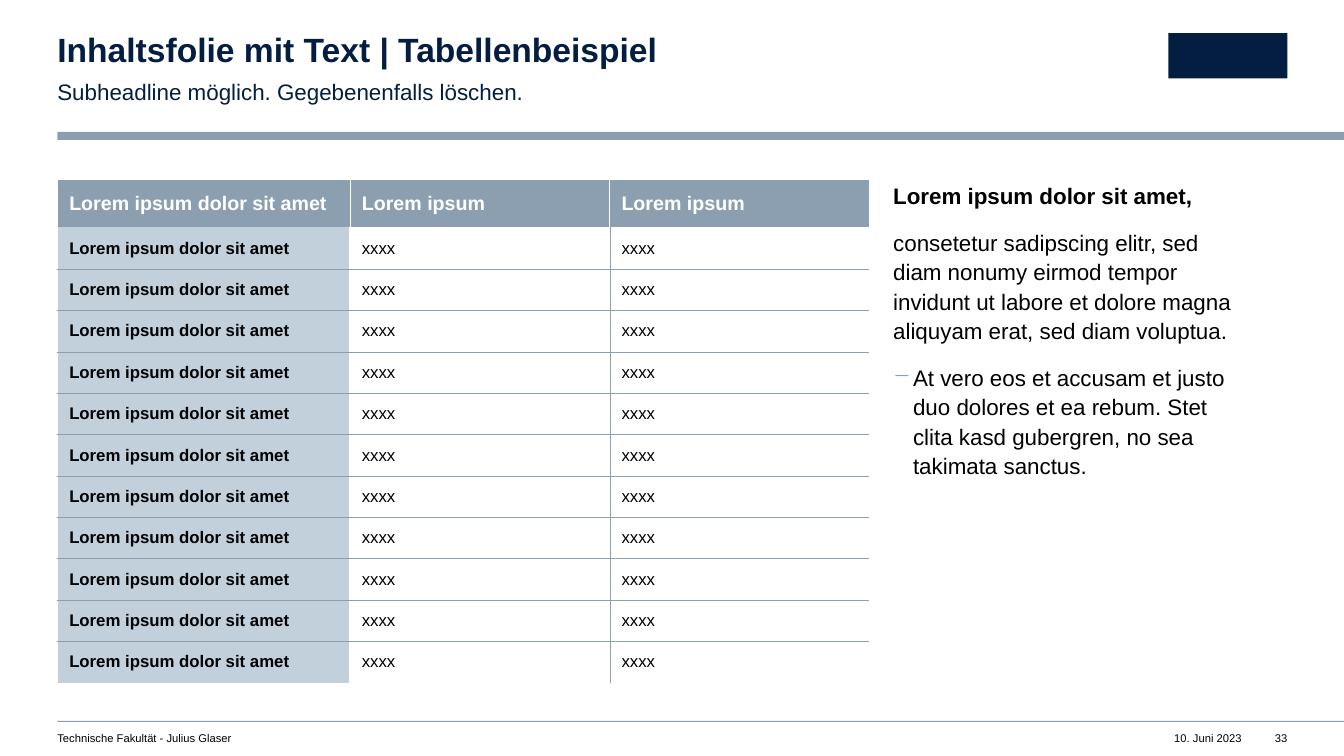
from lxml import etree
from pptx import Presentation
from pptx.dml.color import RGBColor
from pptx.enum import shapes, text
from pptx.oxml import ns
from pptx.util import Pt

HUES = {"navy": "041E42", "steel": "8C9FB1", "pale": "C2D0DC",
        "white": "FFFFFF", "black": "000000"}
FONT = "Arial"
LEFT, RIGHT, WIDE = 41, 919.5, 960
PLAIN = "{2D5ABB26-0587-4C30-8999-92F81FD0307C}"
ALIGN = text.PP_ALIGN


def hue(name):
    return RGBColor.from_string(HUES[name])


def add(parent, tag, **attrs):
    node = etree.SubElement(parent, ns.qn(tag))
    for key, value in attrs.items():
        node.set(key, str(value))
    return node


def style(para, size, color, bold=False):
    for run in para.runs:
        font = run.font
        font.name, font.size, font.bold = FONT, Pt(size), bold
        font.color.rgb = hue(color)


def place(shape, left, top, width, height):
    shape.left, shape.top = Pt(left), Pt(top)
    shape.width, shape.height = Pt(width), Pt(height)


def inset(frame, right=0):
    frame.margin_left = frame.margin_top = frame.margin_bottom = 0
    frame.margin_right = Pt(right)
    frame.word_wrap = True
    frame.auto_size = text.MSO_AUTO_SIZE.NONE
    frame.vertical_anchor = text.MSO_ANCHOR.TOP


def add_text(slide, box, words, size, color, right=0):
    frame = slide.shapes.add_textbox(*map(Pt, box)).text_frame
    inset(frame, right)
    frame.text = words
    for para in frame.paragraphs:
        style(para, size, color)
    return frame


def add_block(slide, box, color):
    shape = slide.shapes.add_shape(shapes.MSO_SHAPE.RECTANGLE, *map(Pt, box))
    shape.shadow.inherit = False
    shape.fill.solid()
    shape.fill.fore_color.rgb = hue(color)
    shape.line.fill.background()


def space(para):
    para.line_spacing, para.space_after = 1.1, Pt(12)


# Title, subheadline, plain mark and thick rule
def add_head(slide, left, top, width):
    title = slide.shapes.title
    place(title, left, top, width, 26)
    inset(title.text_frame)
    title.text_frame.text = "Inhaltsfolie mit Text | Tabellenbeispiel"
    para = title.text_frame.paragraphs[0]
    para.alignment, para.line_spacing = ALIGN.LEFT, 0.9
    style(para, 24, "navy", True)
    sub = add_text(slide, (left, top + 30, width, 19.5),
                   "Subheadline möglich. Gegebenenfalls löschen.",
                   16, "navy", 28)
    space(sub.paragraphs[0])
    add_block(slide, (RIGHT - 85, top, 85, 32.4), "navy")
    add_block(slide, (left, top + 70.6, WIDE - left, 5.6), "steel")


# Table: one rule for the edges, one for the fills
def set_edges(cell, row, col, count):
    grid = ("steel", 0.25)
    if row == 0:
        sides = [("white", 1), ("white", 0.5), ("white", 0.5), None]
    else:
        sides = [("white", 1), ("white", 1), grid, None]
    above = ("white", 1) if row == 0 else grid if row > 1 else None
    below = grid if 0 < row < count - 1 else None
    edges = {"a:lnL": sides[col], "a:lnR": sides[col + 1],
             "a:lnT": above, "a:lnB": below}
    props = cell._tc.get_or_add_tcPr()
    for tag, edge in edges.items():
        if edge:
            line = add(props, tag, w=Pt(edge[1]))
            add(add(line, "a:solidFill"), "a:srgbClr", val=HUES[edge[0]])


def set_cell(cell, words, row, col):
    cell.margin_left = cell.margin_right = Pt(8.5)
    cell.margin_top = cell.margin_bottom = Pt(2.9)
    cell.vertical_anchor = text.MSO_ANCHOR.MIDDLE
    fill = "steel" if row == 0 else "pale" if col == 0 else None
    if fill:
        cell.fill.solid()
        cell.fill.fore_color.rgb = hue(fill)
    else:
        cell.fill.background()
    cell.text_frame.text = words
    size, color = (14, "white") if row == 0 else (12, "black")
    style(cell.text_frame.paragraphs[0], size, color, bool(fill))


def add_grid(slide, left, top, width, height):
    label = "Lorem ipsum dolor sit amet"
    rows = [[label, "Lorem ipsum", "Lorem ipsum"]] + [[label, "xxxx", "xxxx"]] * 11
    count, first, head = len(rows), 209, 34
    table = slide.shapes.add_table(
        count, 3, *map(Pt, (left, top, width, height))).table
    table._tbl.tblPr.find(ns.qn("a:tableStyleId")).text = PLAIN
    table.horz_banding = False
    for col, part in enumerate(table.columns):
        part.width = Pt((width - first) / 2 if col else first)
    for row, part in enumerate(table.rows):
        part.height = Pt((height - head) / (count - 1) if row else head)
        for col, words in enumerate(rows[row]):
            cell = table.cell(row, col)
            set_edges(cell, row, col, count)
            set_cell(cell, words, row, col)


# Text column beside the table
def add_side(slide, *box):
    frame = add_text(slide, box, "\n".join([
        "Lorem ipsum dolor sit amet,",
        "consetetur sadipscing elitr, sed diam nonumy eirmod tempor "
        "invidunt ut labore et dolore magna aliquyam erat, sed diam voluptua.",
        "At vero eos et accusam et justo duo dolores et ea rebum. "
        "Stet clita kasd gubergren, no sea takimata sanctus.",
    ]), 16, "black", 28)
    for para in frame.paragraphs:
        space(para)
    lead, _, point = frame.paragraphs
    style(lead, 16, "black", True)
    point.level = 1
    props = point._p.get_or_add_pPr()
    props.set("marL", str(Pt(14.2)))
    props.set("indent", str(Pt(-14.2)))
    add(add(props, "a:buClr"), "a:srgbClr", val=HUES["steel"])
    add(props, "a:buChar", char="−")


# Thin rule, sender, date and page number
def add_foot(slide, left, top):
    add_block(slide, (left, top, WIDE - left, 0.7), "steel")
    notes = [("Technische Fakultät - Julius Glaser", left, 430, ALIGN.LEFT),
             ("10. Juni 2023", 820, 67, ALIGN.RIGHT),
             ("33", RIGHT - 15, 15, ALIGN.RIGHT)]
    for words, start, width, align in notes:
        frame = add_text(slide, (start, top + 7.8, width, 9.5),
                         words, 8, "black")
        frame.paragraphs[0].alignment = align


def main():
    deck = Presentation()
    deck.slide_width, deck.slide_height = Pt(WIDE), Pt(540)
    slide = deck.slides.add_slide(deck.slide_layouts[5])
    add_head(slide, LEFT, 23.7, 539)
    add_grid(slide, LEFT, 128.5, 580, 359.5)
    add_side(slide, 638, 128.5, RIGHT - 638, 360)
    add_foot(slide, LEFT, 514.9)
    deck.save("out.pptx")


if __name__ == "__main__":
    main()
